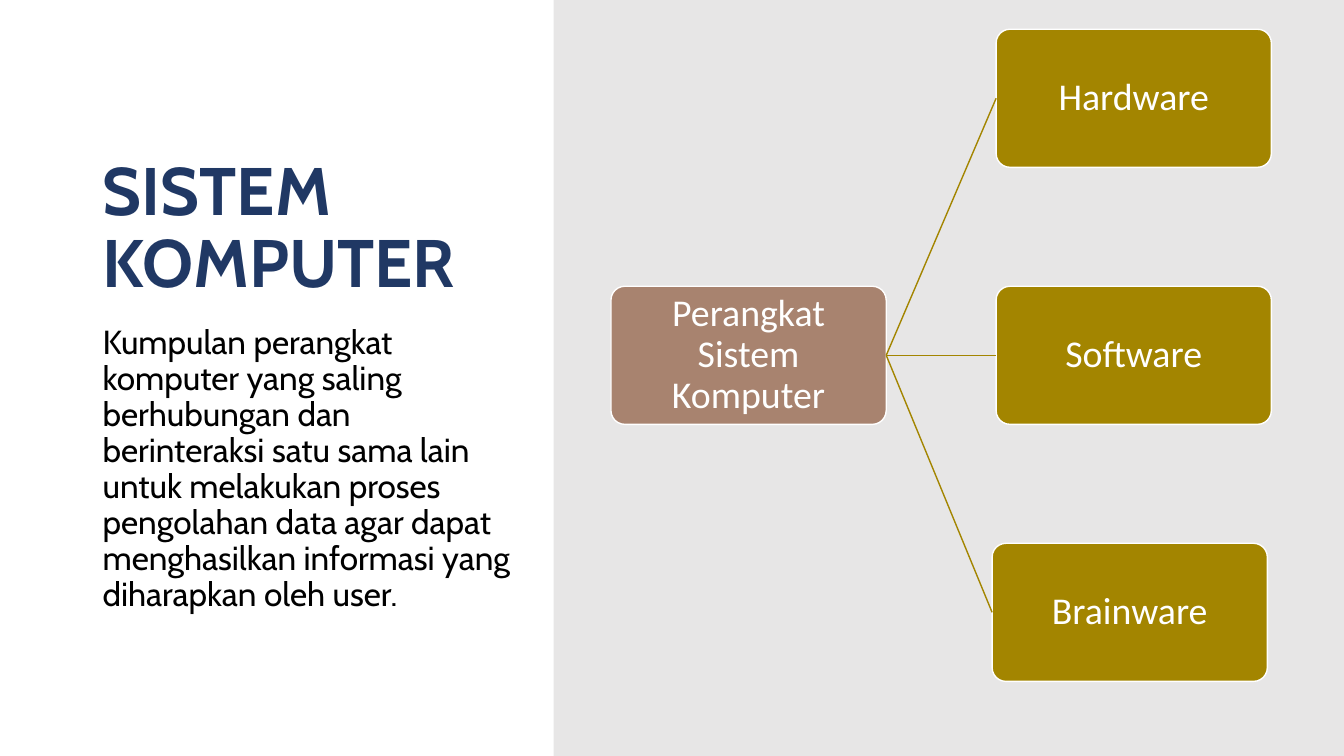
import pptx
import pptx.util
import pptx.dml.color
import pptx.enum.text
import pptx.enum.shapes
import pptx.oxml.ns
import lxml.etree
from pptx.util import Inches

# Content
TITLE = "SISTEM KOMPUTER"
BODY = ("Kumpulan perangkat komputer yang saling berhubungan dan berinteraksi "
        "satu sama lain untuk melakukan proses pengolahan data agar dapat "
        "menghasilkan informasi yang diharapkan oleh user.")
ROOT = "Perangkat Sistem Komputer"
PARTS = [("Hardware", 9.88), ("Software", 9.88), ("Brainware", 9.84)]  # name, left

# Layout in inches
WIDE, HIGH = 13.33, 7.5
PANEL = 5.49
LEFT, SPAN = 0.92, 4.3
BOX_W, BOX_H = 2.73, 1.37
ROOT_X, TOP, STEP = 6.06, 0.29, 2.55


class Theme:
    back, panel, white = "E7E6E6", "FFFFFF", "FFFFFF"
    navy, black, brown, gold = "203864", "000000", "A8836F", "A38500"
    head, text = "Cabin", "Calibri"
    big, body, label, line = 48, 23.8, 27, 1


ALIGN = pptx.enum.text.PP_ALIGN
ANCHOR = pptx.enum.text.MSO_ANCHOR
SHAPE = pptx.enum.shapes.MSO_SHAPE


def paint(fill, color):
    fill.solid()
    fill.fore_color.rgb = pptx.dml.color.RGBColor.from_string(color)


def write(shape, text, font, size, color, align, anchor, bold=False):
    frame = shape.text_frame
    frame.text = text
    frame.word_wrap = True
    frame.auto_size = pptx.enum.text.MSO_AUTO_SIZE.NONE
    frame.vertical_anchor = anchor
    para = frame.paragraphs[0]
    para.alignment = align
    para.line_spacing = 0.9
    run = para.runs[0].font
    run.name, run.size, run.bold = font, pptx.util.Pt(size), bold
    paint(run.fill, color)


def add_box(slide, text, left, top, color):
    box = slide.shapes.add_shape(SHAPE.ROUNDED_RECTANGLE, Inches(left),
                                 Inches(top), Inches(BOX_W), Inches(BOX_H))
    box.adjustments[0] = 0.1
    box.shadow.inherit = False
    paint(box.fill, color)
    paint(box.line.fill, Theme.white)
    box.line.width = pptx.util.Pt(Theme.line)
    write(box, text, Theme.text, Theme.label, Theme.white,
          ALIGN.CENTER, ANCHOR.MIDDLE)
    frame = box.text_frame
    frame.margin_left = frame.margin_right = Inches(0.05)
    frame.margin_top = frame.margin_bottom = Inches(0.05)
    return box


def link(slide, start, end):
    line = slide.shapes.add_connector(
        pptx.enum.shapes.MSO_CONNECTOR.STRAIGHT, 0, 0, 0, 0)
    line.begin_connect(start, 3)  # right side
    line.end_connect(end, 1)  # left side
    paint(line.line.fill, Theme.gold)
    line.line.width = pptx.util.Pt(Theme.line)
    lxml.etree.SubElement(line._element.spPr, pptx.oxml.ns.qn("a:effectLst"))


def main():
    deck = pptx.Presentation()
    deck.slide_width, deck.slide_height = Inches(WIDE), Inches(HIGH)
    slide = deck.slides.add_slide(deck.slide_layouts[5])
    paint(slide.background.fill, Theme.back)

    # White panel, behind the title
    title = slide.shapes.title
    panel = slide.shapes.add_shape(SHAPE.RECTANGLE, 0, 0,
                                   Inches(PANEL), Inches(HIGH))
    panel.shadow.inherit = False
    paint(panel.fill, Theme.panel)
    panel.line.fill.background()
    title._element.addprevious(panel._element)

    # Title and body
    title.left, title.top = Inches(LEFT), Inches(0.5)
    title.width, title.height = Inches(SPAN), Inches(2.55)
    write(title, TITLE, Theme.head, Theme.big, Theme.navy,
          ALIGN.LEFT, ANCHOR.BOTTOM, True)
    body = slide.shapes.add_textbox(Inches(LEFT), Inches(3.18),
                                    Inches(SPAN), Inches(3.23))
    write(body, BODY, Theme.head, Theme.body, Theme.black,
          ALIGN.LEFT, ANCHOR.TOP)

    # Tree: the root sits level with the middle part
    root = add_box(slide, ROOT, ROOT_X, TOP + STEP * (len(PARTS) - 1) / 2,
                   Theme.brown)
    for row, (name, left) in enumerate(PARTS):
        part = add_box(slide, name, left, TOP + row * STEP, Theme.gold)
        link(slide, root, part)

    deck.save("out.pptx")


if __name__ == "__main__":
    main()
